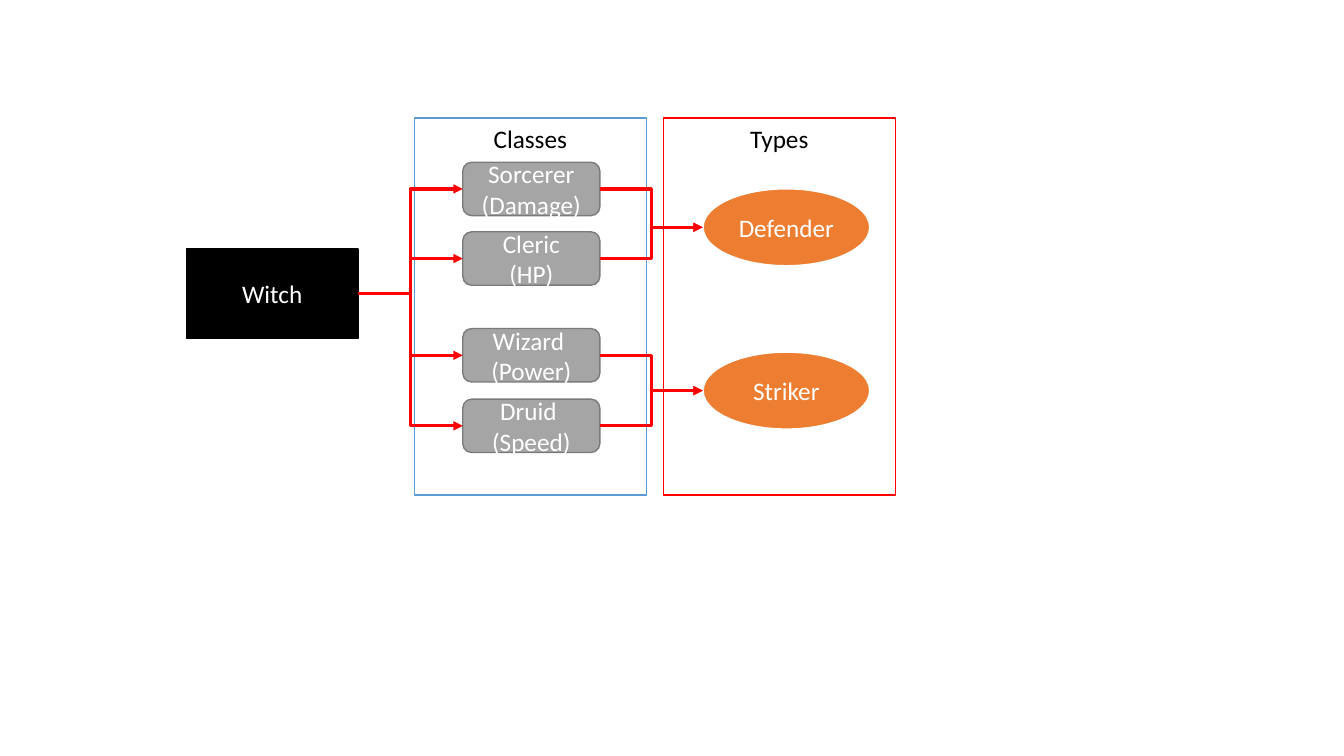
from dataclasses import dataclass

from lxml import etree
from pptx import Presentation
from pptx import util as u
from pptx.dml.color import RGBColor
from pptx.enum import shapes, text
from pptx.oxml import ns
from pptx.shapes.autoshape import Shape
from pptx.slide import Slide

COLORS = {
    "black": "000000",
    "white": "FFFFFF",
    "blue": "5B9BD5",
    "red": "FF0000",
    "orange": "ED7D31",
    "gray": "A5A5A5",
    "dark_gray": "7A7A7A",
}
KIND = shapes.MSO_SHAPE
ANCHOR = text.MSO_ANCHOR


@dataclass(frozen=True)
class Style:
    kind: KIND
    width: float
    height: float
    fill: str
    border: str
    ink: str = "white"
    border_pt: float = 1
    anchor: ANCHOR = ANCHOR.MIDDLE


@dataclass(frozen=True)
class Node:
    label: str
    left: float
    top: float
    style: Style


def panel_style(border: str) -> Style:
    return Style(KIND.RECTANGLE, 2.3, 3.74, "white", border, "black", anchor=ANCHOR.TOP)


WITCH = Style(KIND.RECTANGLE, 1.7, 0.89, "black", "black")
CLASS = Style(KIND.ROUNDED_RECTANGLE, 1.36, 0.53, "gray", "dark_gray")
TYPE = Style(KIND.OVAL, 1.66, 0.77, "orange", "white", border_pt=1.5)

# Connection sites, counted anticlockwise from the top
BOX_LEFT, BOX_RIGHT, OVAL_LEFT = 1, 3, 2

PANEL_TOP, CLASS_LEFT, TYPE_LEFT = 1.17, 4.59, 6.97
PANELS = [
    Node("Classes", 4.11, PANEL_TOP, panel_style("blue")),
    Node("Types", 6.58, PANEL_TOP, panel_style("red")),
]
# Each type with the classes that lead to it
BRANCHES = [
    (Node("Defender", TYPE_LEFT, 1.87, TYPE),
     [Node("Sorcerer\n(Damage)", CLASS_LEFT, 1.61, CLASS),
      Node("Cleric\n(HP)", CLASS_LEFT, 2.3, CLASS)]),
    (Node("Striker", TYPE_LEFT, 3.49, TYPE),
     [Node("Wizard \n(Power)", CLASS_LEFT, 3.26, CLASS),
      Node("Druid \n(Speed)", CLASS_LEFT, 3.96, CLASS)]),
]


def rgb(name: str) -> RGBColor:
    return RGBColor.from_string(COLORS[name])


def draw_node(slide: Slide, node: Node) -> Shape:
    style = node.style
    box = slide.shapes.add_shape(
        style.kind, u.Inches(node.left), u.Inches(node.top),
        u.Inches(style.width), u.Inches(style.height))
    box.shadow.inherit = False
    box.fill.solid()
    box.fill.fore_color.rgb = rgb(style.fill)
    box.line.color.rgb = rgb(style.border)
    box.line.width = u.Pt(style.border_pt)

    frame = box.text_frame
    frame.word_wrap = True
    frame.vertical_anchor = style.anchor
    frame.text = node.label
    for paragraph in frame.paragraphs:
        paragraph.alignment = text.PP_ALIGN.CENTER
        for run in paragraph.runs:
            run.font.name = "Calibri"
            run.font.size = u.Pt(18)
            run.font.color.rgb = rgb(style.ink)
    return box


def draw_arrow(slide: Slide, source: Shape, target: Shape, target_site: int) -> None:
    arrow = slide.shapes.add_connector(shapes.MSO_CONNECTOR.ELBOW, 0, 0, 0, 0)
    arrow.begin_connect(source, BOX_RIGHT)
    arrow.end_connect(target, target_site)
    # An oval has eight sites, so its left end is placed explicitly
    arrow.end_x = target.left
    arrow.end_y = target.top + target.height // 2
    arrow.line.color.rgb = rgb("red")
    arrow.line.width = u.Pt(2.25)
    line = arrow.line._get_or_add_ln()
    etree.SubElement(line, ns.qn("a:tailEnd"), type="triangle")
    etree.SubElement(arrow._element.spPr, ns.qn("a:effectLst"))


def main() -> None:
    prs = Presentation()
    prs.slide_width, prs.slide_height = u.Inches(13.33), u.Inches(7.5)
    slide = prs.slides.add_slide(prs.slide_layouts[6])

    # Starting point and column panels
    witch = draw_node(slide, Node("Witch", 1.85, 2.47, WITCH))
    for panel in PANELS:
        draw_node(slide, panel)

    # Witch to classes, classes to types
    for type_node, class_nodes in BRANCHES:
        hero_type = draw_node(slide, type_node)
        for class_node in class_nodes:
            hero_class = draw_node(slide, class_node)
            draw_arrow(slide, witch, hero_class, BOX_LEFT)
            draw_arrow(slide, hero_class, hero_type, OVAL_LEFT)

    prs.save("out.pptx")


if __name__ == "__main__":
    main()
